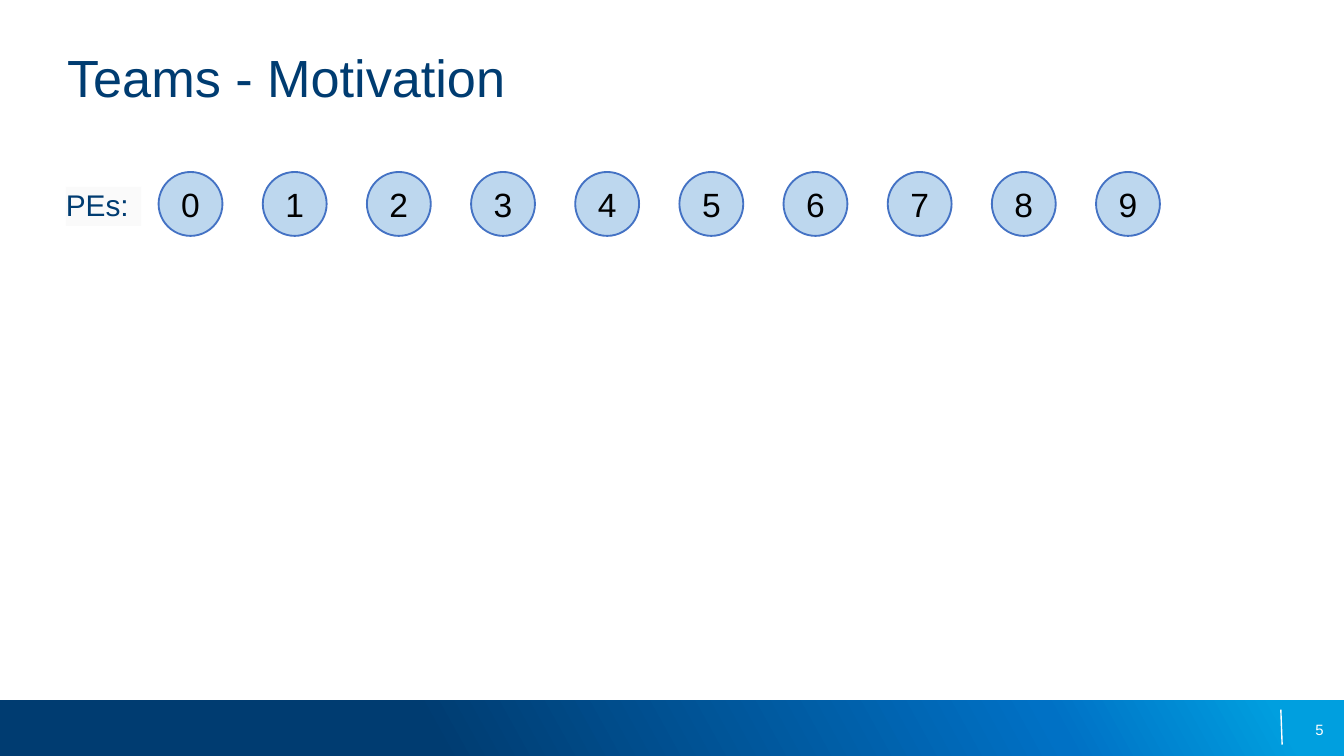
from copy import deepcopy

from pptx import Presentation
from pptx.dml.color import RGBColor
from pptx.enum.shapes import MSO_CONNECTOR, MSO_SHAPE
from pptx.enum.text import MSO_ANCHOR, PP_ALIGN
from pptx.oxml.ns import qn
from pptx.oxml.xmlchemy import OxmlElement
from pptx.util import Pt

SCALE = 4572
COLORS = {
    "navy": "003C71", "blue": "0071C5", "sky": "009FDF", "white": "FFFFFF",
    "black": "000000", "pale": "BDD7EE", "edge": "4472C4", "mist": "FAFAFA",
}


def px(*sizes):
    return [size * SCALE for size in sizes]


def color(name):
    return RGBColor.from_string(COLORS[name])


class Deck:
    """Hold the style and the current slide, and draw each kind of element."""

    font = "Arial"
    frame = {"margin_left": 0, "margin_right": 0, "margin_top": 0,
             "margin_bottom": 0, "word_wrap": True}

    def __init__(self, wide, high):
        self.show = Presentation()
        self.show.slide_width, self.show.slide_height = px(wide, high)
        self.slide = self.show.slides.add_slide(self.show.slide_layouts[6])

    def letter(self, shape, text, size, ink, align=PP_ALIGN.LEFT, anchor=MSO_ANCHOR.TOP):
        frame = shape.text_frame
        for key, value in {**self.frame, "vertical_anchor": anchor}.items():
            setattr(frame, key, value)
        line = frame.paragraphs[0]
        line.alignment = align
        run = line.add_run()
        run.text = text
        for key, value in {"name": self.font, "size": Pt(size)}.items():
            setattr(run.font, key, value)
        run.font.color.rgb = color(ink)

    def label(self, box, *style):
        self.letter(self.slide.shapes.add_textbox(*px(*box)), *style)

    def shape(self, kind, box, fill=None, edge=None):
        shape = self.slide.shapes.add_shape(kind, *px(*box))
        shape.shadow.inherit = False
        if fill:
            shape.fill.solid()
            shape.fill.fore_color.rgb = color(fill)
        if edge:
            shape.line.color.rgb = color(edge)
            shape.line.width = Pt(1)
        else:
            shape.line.fill.background()
        return shape

    def band(self, box, stops, angle):
        shape = self.shape(MSO_SHAPE.RECTANGLE, box)
        shape.fill.gradient()
        shape.fill.gradient_angle = angle
        items = shape.element.spPr.find(".//" + qn("a:gsLst"))
        while len(items) < len(stops):
            items.append(deepcopy(items[0]))
        for stop, (place, name) in zip(shape.fill.gradient_stops, stops):
            stop.position = place
            stop.color.rgb = color(name)

    def rule(self, ends, ink, width):
        line = self.slide.shapes.add_connector(MSO_CONNECTOR.STRAIGHT, *px(*ends))
        line.line.color.rgb = color(ink)
        line.line.width = Pt(width)
        line.element.spPr.append(OxmlElement("a:effectLst"))


def main():
    deck = Deck(2000, 1125)
    deck.band((0, 1042, 2000, 83), [(0.32, "navy"), (0.78, "blue"), (0.95, "sky")], 29)
    deck.rule((1906, 1056, 1908, 1108), "white", 0.75)
    deck.label((1504, 1056, 466, 60), "5", 8, "white", PP_ALIGN.RIGHT, MSO_ANCHOR.MIDDLE)
    deck.label((100, 68, 1800, 190), "Teams - Motivation", 28, "navy")
    for rank in range(10):
        node = deck.shape(MSO_SHAPE.OVAL, (236 + 155 * rank, 256, 95, 95), "pale", "edge")
        deck.letter(node, str(rank), 18, "black", PP_ALIGN.CENTER, MSO_ANCHOR.MIDDLE)
    tag = deck.shape(MSO_SHAPE.RECTANGLE, (98, 278, 112, 58), "mist")
    deck.letter(tag, "PEs:", 16, "navy")
    deck.show.save("out.pptx")


if __name__ == "__main__":
    main()
